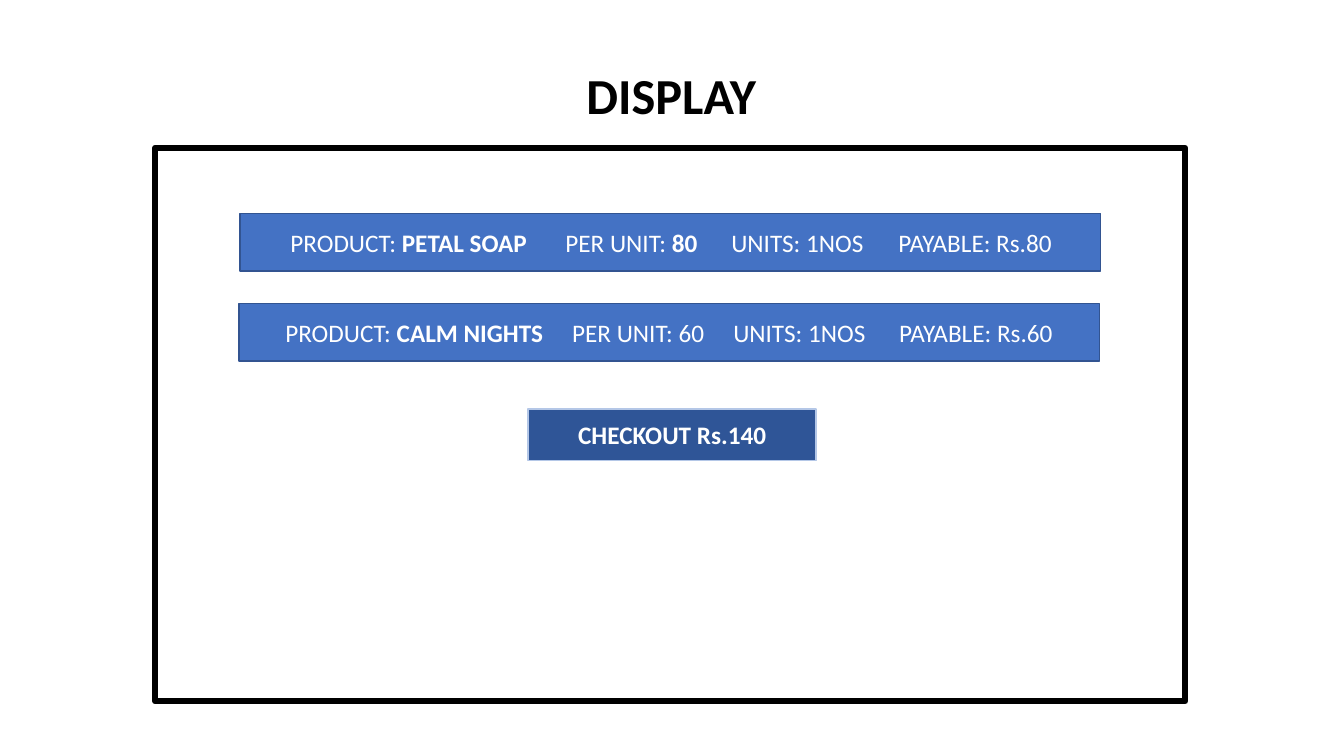
from pptx import Presentation
from pptx.dml.color import RGBColor
from pptx.enum.shapes import MSO_SHAPE as Preset
from pptx.enum.text import MSO_ANCHOR as Anchor, PP_ALIGN as Align
from pptx.oxml.xmlchemy import OxmlElement
from pptx.util import Cm, Pt

BLACK = RGBColor(0x00, 0x00, 0x00)
WHITE = RGBColor(0xFF, 0xFF, 0xFF)
BLUE = RGBColor(0x44, 0x72, 0xC4)
BLUE_EDGE = RGBColor(0x32, 0x54, 0x91)
NAVY = RGBColor(0x2F, 0x55, 0x97)
PALE_BLUE = RGBColor(0xB4, 0xC7, 0xE7)

TITLE_BOX = (10.85, 1.47, 12.14, 1.8)
SCREEN_BOX = (3.91, 3.73, 25.96, 13.94)
ROW_WIDTH, ROW_HEIGHT = 21.69, 1.45
ROW_TOP, ROW_PITCH = 1.65, 2.27

# Each row: left offset in the screen, text inset, tab stops, (text, bold) runs
PRODUCT_ROWS = [
    (2.14, 1.27, (6.93, 11.11, 15.32),
     [("PRODUCT: ", False), ("PETAL SOAP\t", True), ("PER UNIT: ", False),
      ("80\t", True), ("UNITS: 1NOS\tPAYABLE: Rs.80", False)]),
    (2.11, 1.17, (7.23, 11.29, 15.47),
     [("PRODUCT: ", False), ("CALM NIGHTS\t", True),
      ("PER UNIT: 60\tUNITS: 1NOS\tPAYABLE: Rs.60", False)]),
]


def set_values(target, values):
    for name, value in values.items():
        setattr(target, name, value)


def add_box(slide, box, fill, edge, edge_width):
    shape = slide.shapes.add_shape(Preset.RECTANGLE, *map(Cm, box))
    shape.shadow.inherit = False
    shape.fill.solid()
    shape.fill.fore_color.rgb = fill
    shape.line.color.rgb = edge
    shape.line.width = Pt(edge_width)
    return shape


def write_line(shape, runs, color, size, align=Align.CENTER, tab_stops=()):
    """Write one line of (text, bold) runs, vertically centred in the shape."""
    set_values(shape.text_frame, {"word_wrap": True,
                                  "vertical_anchor": Anchor.MIDDLE})
    paragraph = shape.text_frame.paragraphs[0]
    paragraph.alignment = align
    if tab_stops:
        tab_list = OxmlElement("a:tabLst")
        for stop in tab_stops:
            tab = OxmlElement("a:tab")
            tab.set("pos", str(Cm(stop)))
            tab.set("algn", "l")
            tab_list.append(tab)
        paragraph._p.get_or_add_pPr().append(tab_list)
    for text, bold in runs:
        run = paragraph.add_run()
        run.text = text
        set_values(run.font, {"name": "Calibri", "size": Pt(size), "bold": bold})
        run.font.color.rgb = color


def add_title(slide, box):
    title = slide.shapes.add_textbox(*map(Cm, box))
    write_line(title, [("DISPLAY", True)], BLACK, 36)


def add_product_row(slide, box, inset, tab_stops, runs):
    row = add_box(slide, box, BLUE, BLUE_EDGE, 1)
    set_values(row.text_frame, {"margin_left": Cm(inset), "margin_right": 0})
    write_line(row, runs, WHITE, 18, Align.LEFT, tab_stops)


def add_screen(slide, box):
    left, top, _, _ = box
    add_box(slide, box, WHITE, BLACK, 4.5)
    checkout = add_box(slide, (left + 9.4, top + 6.58, 7.26, 1.3),
                       NAVY, PALE_BLUE, 1)
    write_line(checkout, [("CHECKOUT Rs.140", True)], WHITE, 18)
    for index, (offset, inset, tab_stops, runs) in enumerate(PRODUCT_ROWS):
        row_box = (left + offset, top + ROW_TOP + index * ROW_PITCH,
                   ROW_WIDTH, ROW_HEIGHT)
        add_product_row(slide, row_box, inset, tab_stops, runs)


def main():
    presentation = Presentation()
    set_values(presentation, {"slide_width": Cm(33.87), "slide_height": Cm(19.05)})
    slide = presentation.slides.add_slide(presentation.slide_layouts[6])
    add_title(slide, TITLE_BOX)
    add_screen(slide, SCREEN_BOX)
    presentation.save("out.pptx")


if __name__ == "__main__":
    main()
